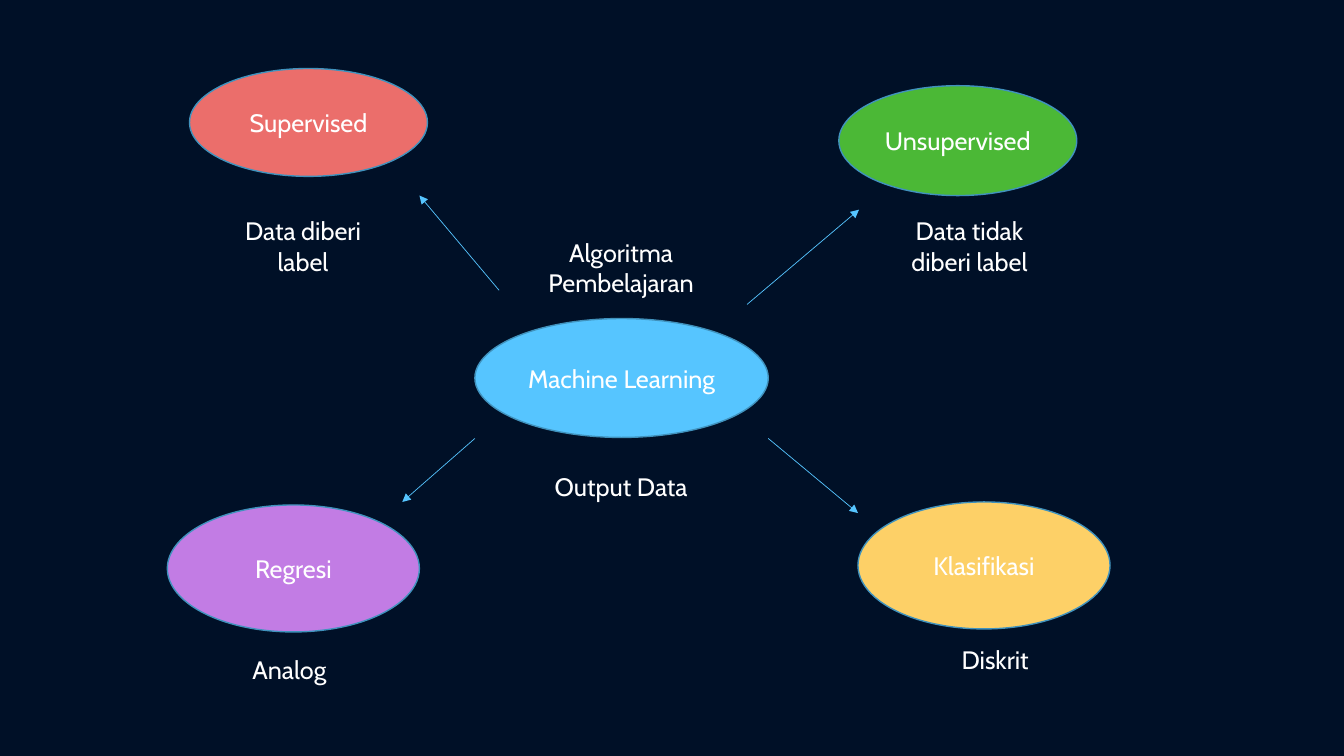
from lxml.etree import SubElement
from pptx import Presentation
from pptx.dml.color import RGBColor
from pptx.enum.shapes import MSO_CONNECTOR, MSO_SHAPE
from pptx.enum.text import MSO_ANCHOR, MSO_AUTO_SIZE, PP_ALIGN
from pptx.oxml.ns import qn
from pptx.util import Inches, Pt

BACKGROUND = "001027"
OUTLINE = "4092BD"
ARROW = "56C5FF"
TEXT = "FFFFFF"
FONT = {"name": "Cabin", "size": Pt(18)}

# text, fill, (left, top, width, height)
TOPICS = [
    ("Machine Learning", "56C5FF", (4.71, 3.16, 2.91, 1.18)),
    ("Supervised", "EB6E6B", (1.88, 0.68, 2.36, 1.07)),
    ("Unsupervised", "4BB836", (8.32, 0.85, 2.36, 1.09)),
    ("Regresi", "C27CE4", (1.66, 5.01, 2.5, 1.26)),
    ("Klasifikasi", "FDD067", (8.51, 4.98, 2.5, 1.26)),
]
CAPTIONS = [
    ("Algoritma Pembelajaran", (5.02, 2.3, 2.28, 0.71)),
    ("Data diberi label", (2.18, 2.09, 1.65, 0.71)),
    ("Data tidak diberi label", (8.79, 2.09, 1.65, 0.71)),
    ("Output Data", (5.02, 4.63, 2.28, 0.4)),
    ("Analog", (1.58, 6.44, 2.58, 0.4)),
    ("Diskrit", (8.51, 6.34, 2.72, 0.4)),
]
# start x, start y, end x, end y
ARROWS = [
    (4.95, 2.88, 4.16, 1.94),
    (7.41, 3.02, 8.52, 2.08),
    (4.71, 4.35, 3.99, 4.98),
    (7.62, 4.35, 8.51, 5.09),
]


def paint(color_format, color):
    color_format.rgb = RGBColor.from_string(color)


def inches(values):
    return [Inches(value) for value in values]


def write(shape, text, **frame_format):
    frame = shape.text_frame
    for name, value in {"word_wrap": True, **frame_format}.items():
        setattr(frame, name, value)
    paragraph = frame.paragraphs[0]
    paragraph.alignment = PP_ALIGN.CENTER
    run = paragraph.add_run()
    run.text = text
    for name, value in FONT.items():
        setattr(run.font, name, value)
    paint(run.font.color, TEXT)


def add_topic(slide, text, fill, box):
    shape = slide.shapes.add_shape(MSO_SHAPE.OVAL, *inches(box))
    shape.shadow.inherit = False
    shape.fill.solid()
    paint(shape.fill.fore_color, fill)
    paint(shape.line.color, OUTLINE)
    shape.line.width = Pt(1)
    write(shape, text, vertical_anchor=MSO_ANCHOR.MIDDLE)


def add_caption(slide, text, box):
    shape = slide.shapes.add_textbox(*inches(box))
    write(shape, text, auto_size=MSO_AUTO_SIZE.SHAPE_TO_FIT_TEXT)


def add_arrow(slide, ends):
    connector = slide.shapes.add_connector(MSO_CONNECTOR.STRAIGHT, *inches(ends))
    paint(connector.line.color, ARROW)
    connector.line.width = Pt(0.5)
    properties = connector.element.spPr
    SubElement(properties.find(qn("a:ln")), qn("a:tailEnd"), type="triangle")
    SubElement(properties, qn("a:effectLst"))


def main():
    presentation = Presentation()
    presentation.slide_width = Inches(13.33)
    presentation.slide_height = Inches(7.5)
    slide = presentation.slides.add_slide(presentation.slide_layouts[6])
    slide.background.fill.solid()
    paint(slide.background.fill.fore_color, BACKGROUND)
    for topic in TOPICS:
        add_topic(slide, *topic)
    for ends in ARROWS:
        add_arrow(slide, ends)
    for caption in CAPTIONS:
        add_caption(slide, *caption)
    presentation.save("out.pptx")


if __name__ == "__main__":
    main()
